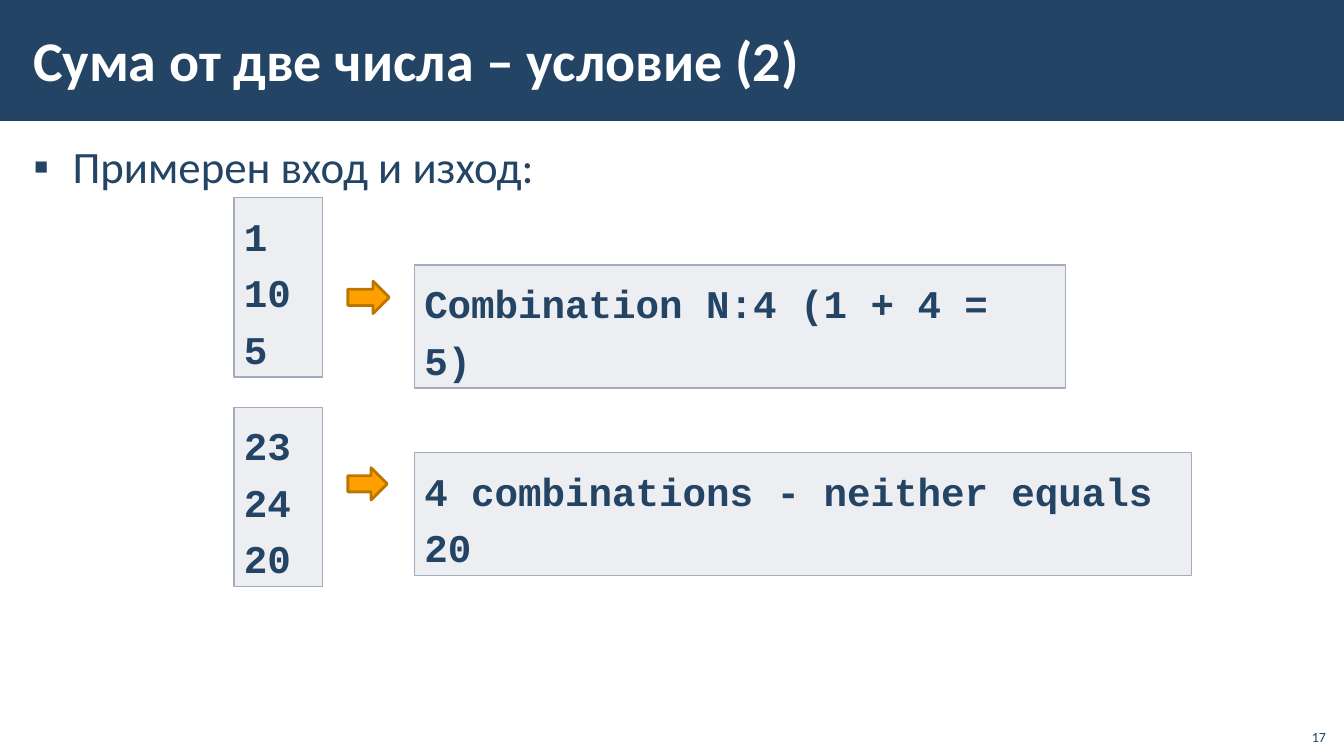
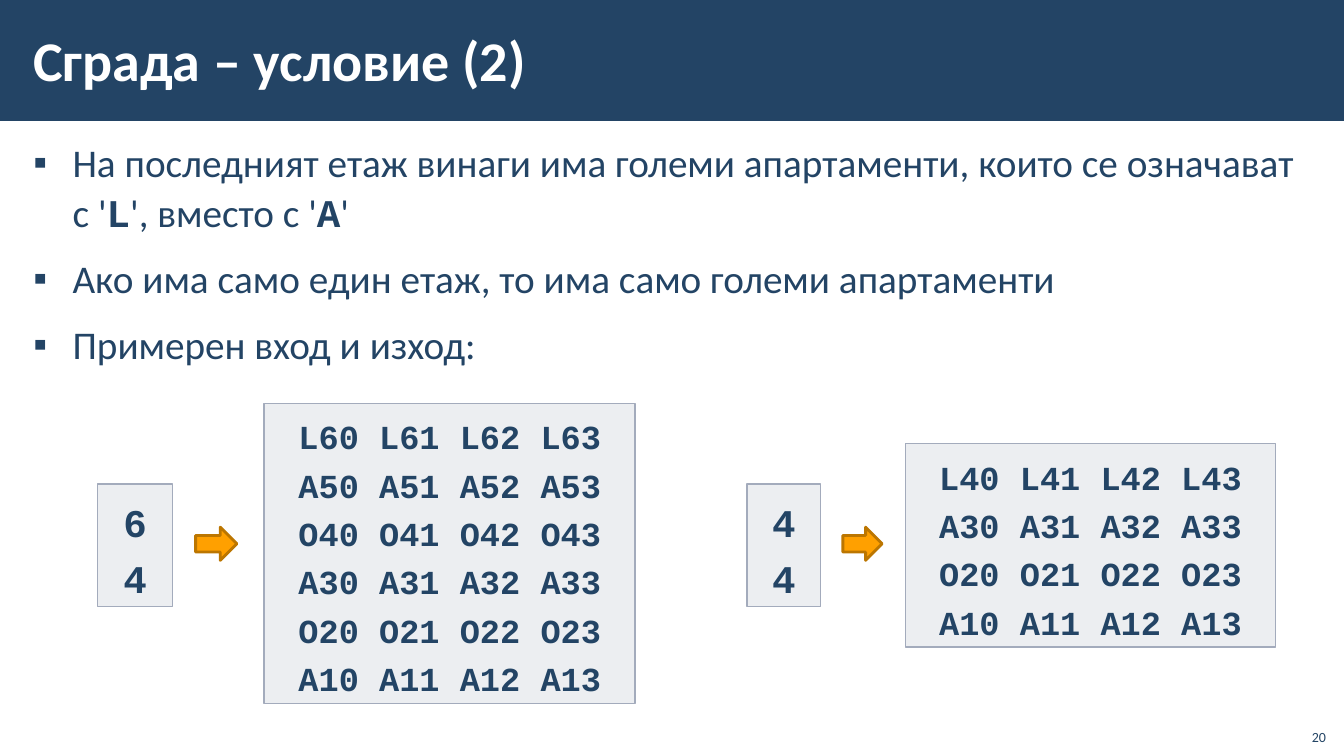
from dataclasses import dataclass

from lxml import etree
from pptx import Presentation
from pptx.dml.color import RGBColor
from pptx.enum import shapes, text
from pptx.oxml import ns
from pptx.util import Inches, Pt


@dataclass(frozen=True)
class Theme:
    navy: str = "234465"
    white: str = "FFFFFF"
    panel: str = "A3ABBC"
    panel_alpha: int = 20
    arrow: str = "FFA000"
    arrow_edge: str = "BC7600"
    font: str = "Calibri"
    mono: str = "Courier New"
    title_size: int = 40
    code_size: int = 28
    grid_size: int = 24
    number_size: int = 10


THEME = Theme()
LEFT, CENTER, RIGHT = (text.PP_ALIGN.LEFT, text.PP_ALIGN.CENTER,
                       text.PP_ALIGN.RIGHT)
TOP, MIDDLE, BOTTOM = (text.MSO_ANCHOR.TOP, text.MSO_ANCHOR.MIDDLE,
                       text.MSO_ANCHOR.BOTTOM)


def place(sp, box):
    sp.left, sp.top, sp.width, sp.height = map(Inches, box)


def set_frame(tf, anchor, insets, auto_size=text.MSO_AUTO_SIZE.NONE):
    """Set anchor, autofit and the horizontal and vertical insets."""
    tf.word_wrap = True
    tf.auto_size = auto_size
    tf.vertical_anchor = anchor
    tf.margin_left = tf.margin_right = Inches(insets[0])
    tf.margin_top = tf.margin_bottom = Inches(insets[1])


def add_run(p, words, size, font=THEME.font, color=THEME.navy, bold=False):
    r = p.add_run()
    r.text = words
    r.font.size, r.font.name, r.font.bold = Pt(size), font, bold
    r.font.color.rgb = RGBColor.from_string(color)


def write(tf, lines, align=LEFT, spacing=None, **fmt):
    """Write one paragraph per line; a tuple alternates plain and code runs."""
    for i, line in enumerate(lines):
        p = tf.add_paragraph() if i else tf.paragraphs[0]
        p.alignment, p.line_spacing = align, spacing
        runs = (line,) if isinstance(line, str) else line
        for j, words in enumerate(runs):
            code = {"font": THEME.mono, "bold": True} if j % 2 else {}
            add_run(p, words, **(fmt | code))


def set_bullet(p):
    p.space_before = p.space_after = Pt(6)
    pPr = p._p.get_or_add_pPr()
    pPr.set("marL", str(Inches(0.39)))
    pPr.set("indent", str(-Inches(0.39)))
    etree.SubElement(pPr, ns.qn("a:buChar"), char="▪")


def add_shape(slide, kind, box, fill, line=None, line_width=1):
    sp = slide.shapes.add_shape(kind, *map(Inches, box))
    sp.shadow.inherit = False
    sp.fill.solid()
    sp.fill.fore_color.rgb = RGBColor.from_string(fill)
    if line:
        sp.line.color.rgb = RGBColor.from_string(line)
        sp.line.width = Pt(line_width)
    else:
        sp.line.fill.background()
    return sp


def add_code_box(slide, box, lines, align, size=THEME.code_size):
    sp = add_shape(slide, shapes.MSO_SHAPE.RECTANGLE, box,
                   THEME.panel, THEME.panel)
    color = sp.fill._xPr.find(ns.qn("a:solidFill"))[0]
    etree.SubElement(color, ns.qn("a:alpha"),
                     val=str(THEME.panel_alpha * 1000))
    set_frame(sp.text_frame, TOP, (0.1, 0.05),
              text.MSO_AUTO_SIZE.SHAPE_TO_FIT_TEXT)
    write(sp.text_frame, lines, align, spacing=1.2,
          size=size, font=THEME.mono, bold=True)


def add_example(slide, source, arrow, result, align=LEFT,
                result_size=THEME.code_size):
    """Draw an input box, an arrow and an output box."""
    add_code_box(slide, *source, align)
    add_shape(slide, shapes.MSO_SHAPE.RIGHT_ARROW, arrow,
              THEME.arrow, THEME.arrow_edge, 2)
    add_code_box(slide, *result, align, result_size)


def add_slide(prs, title, bullets, size, body_height, number):
    slide = prs.slides.add_slide(prs.slide_layouts[1])
    head, body = slide.placeholders
    set_frame(head.text_frame, MIDDLE, (0.12, 0.04))
    write(head.text_frame, [title], size=THEME.title_size,
          color=THEME.white, bold=True)

    place(body, (0.21, 1.31, 12.92, body_height))
    set_frame(body.text_frame, TOP, (0.12, 0.04))
    write(body.text_frame, bullets, spacing=1.05, size=size)
    for p in body.text_frame.paragraphs:
        set_bullet(p)

    box = slide.shapes.add_textbox(*map(Inches, (12.85, 7.12, 0.4, 0.32)))
    set_frame(box.text_frame, BOTTOM, (0.1, 0.05))
    write(box.text_frame, [number], RIGHT, size=THEME.number_size)
    return slide


def set_up_layout(prs, slide):
    """Place the shared title and move the title band behind it."""
    layout = slide.slide_layout
    place(layout.placeholders[0], (0.21, 0.11, 10.62, 0.96))
    band = add_shape(slide, shapes.MSO_SHAPE.RECTANGLE,
                     (0, 0, 13.34, 1.2), THEME.navy)
    layout.shapes.element.insert(2, band.element)


def add_sum_slide(prs):
    slide = add_slide(prs, "Сума от две числа – условие (2)",
                      ["Примерен вход и изход:"], 32, 5.69, "17")
    add_example(slide, ((2.32, 1.96, 0.88, 1.78), ["1", "10", "5"]),
                (3.45, 2.79, 0.41, 0.32),
                ((4.11, 2.63, 6.46, 1.22), ["Combination N:4 (1 + 4 = 5)"]))
    add_example(slide, ((2.32, 4.04, 0.88, 1.78), ["23", "24", "20"]),
                (3.45, 4.64, 0.39, 0.32),
                ((4.11, 4.49, 7.71, 1.22),
                 ["4 combinations - neither equals 20"]))
    return slide


def building(floors, flats):
    """List the flats from the top floor down: L on top, O even, A odd."""
    rows = []
    for floor in range(floors, 0, -1):
        letter = "L" if floor == floors else "AO"[floor % 2 == 0]
        rows.append(" ".join(f"{letter}{floor}{n}" for n in range(flats)))
    return rows


def add_building_slide(prs):
    bullets = [
        ("На последният етаж винаги има големи апартаменти, "
         "които се означават с '", "L", "', вместо с '", "А", "'"),
        "Ако има само един етаж, то има само големи апартаменти",
        "Примерен вход и изход:",
    ]
    slide = add_slide(prs, "Сграда – условие (2)", bullets, 28, 6.05, "20")
    examples = [
        (6, 4, (0.97, 4.8, 0.74, 1.22), (1.94, 5.23, 0.41, 0.33),
         (2.62, 4, 3.68, 2.98)),
        (4, 4, (7.41, 4.8, 0.73, 1.22), (8.36, 5.23, 0.39, 0.33),
         (8.98, 4.4, 3.67, 2.02)),
    ]
    for floors, flats, source, arrow, result in examples:
        add_example(slide, (source, [str(floors), str(flats)]), arrow,
                    (result, building(floors, flats)),
                    CENTER, THEME.grid_size)


def main():
    prs = Presentation()
    prs.slide_width, prs.slide_height = Inches(13.33), Inches(7.5)
    slide = add_sum_slide(prs)
    set_up_layout(prs, slide)
    add_building_slide(prs)
    prs.save("out.pptx")


if __name__ == "__main__":
    main()
